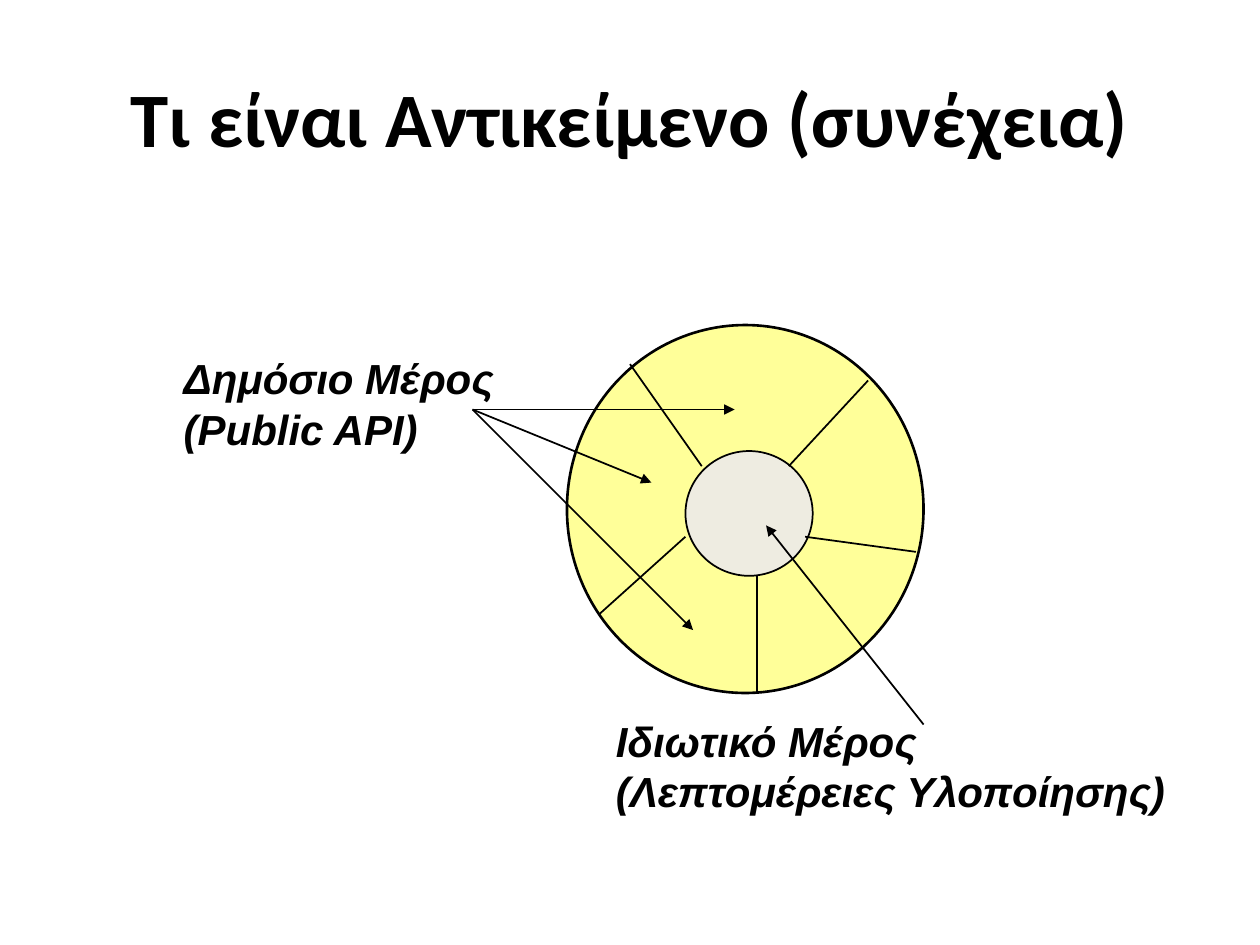
from lxml import etree
from pptx import Presentation, util as u
from pptx.dml.color import RGBColor
from pptx.enum import shapes, text
from pptx.oxml.ns import qn

THEME = {
    "ink": RGBColor.from_string("000000"),
    "public": RGBColor.from_string("FFFF99"),
    "private": RGBColor.from_string("EEECE1"),
    "title_font": "Calibri", "title_size": 44,
    "label_font": "Arial", "label_size": 24,
    "outline": 1.5, "line": 1,
}

TITLE = "Τι είναι Αντικείμενο (συνέχεια)"
RINGS = [
    ((4.5, 2.58, 2.83, 2.92), "public", "outline"),
    ((5.44, 3.58, 1.01, 0.99), "private", "line"),
]
DIVIDERS = [
    ((5, 2.89), (5.57, 3.7)),
    ((5.44, 4.26), (4.75, 4.88)),
    ((6.01, 4.57), (6.01, 5.5)),
    ((6.39, 4.26), (7.27, 4.38)),
    ((6.26, 3.7), (6.89, 3.02)),
]
LABELS = [
    ("Δημόσιο Μέρος\n(Public API)", (1.36, 2.75, 2.66, 0.9), False),
    ("Iδιωτικό Μέρος\n(Λεπτομέρειες Υλοποίησης)", (4.79, 5.63, 4.85, 0.9), True),
]
PUBLIC_START = (3.75, 3.25)
PUBLIC_TARGETS = [(5.17, 3.83), (5.83, 3.25), (5.5, 5)]
ARROWS = [(PUBLIC_START, target) for target in PUBLIC_TARGETS]
ARROWS.append(((7.33, 5.75), (6.08, 4.17)))


def inches(values):
    return [u.Inches(value) for value in values]


def style_text(frame, kind, italic=False):
    for paragraph in frame.paragraphs:
        for span in paragraph.runs:
            span.font.name = THEME[kind + "_font"]
            span.font.size = u.Pt(THEME[kind + "_size"])
            span.font.bold = True
            span.font.italic = italic
            span.font.color.rgb = THEME["ink"]


def style_line(shape, width):
    shape.line.color.rgb = THEME["ink"]
    shape.line.width = u.Pt(THEME[width])


def add_title(page):
    title = page.shapes.title
    title.left, title.top, title.width, title.height = inches((0.5, 0.3, 9, 1.25))
    title.text_frame.text = TITLE
    title.text_frame.vertical_anchor = text.MSO_ANCHOR.MIDDLE
    title.text_frame.paragraphs[0].alignment = text.PP_ALIGN.CENTER
    style_text(title.text_frame, "title")


def add_ring(parent, area, fill, width):
    ring = parent.add_shape(shapes.MSO_SHAPE.OVAL, *inches(area))
    ring.shadow.inherit = False
    ring.fill.solid()
    ring.fill.fore_color.rgb = THEME[fill]
    style_line(ring, width)


def add_line(parent, start, end, arrow=False):
    line = parent.add_connector(shapes.MSO_CONNECTOR.STRAIGHT, *inches(start + end))
    style_line(line, "line")
    properties = line.element.spPr
    etree.SubElement(properties, qn("a:effectLst"))
    if arrow:
        etree.SubElement(properties.find(qn("a:ln")), qn("a:tailEnd"), type="triangle")


def add_label(page, words, area, wrap):
    box = page.shapes.add_textbox(*inches(area))
    frame = box.text_frame
    frame.text = words
    frame.word_wrap = wrap
    frame.auto_size = text.MSO_AUTO_SIZE.SHAPE_TO_FIT_TEXT
    style_text(frame, "label", italic=True)


def main():
    deck = Presentation()
    deck.slide_width, deck.slide_height = inches((10, 7.5))
    page = deck.slides.add_slide(deck.slide_layouts.get_by_name("Title Only"))
    add_title(page)
    wheel = page.shapes.add_group_shape()
    for ring in RINGS:
        add_ring(wheel.shapes, *ring)
    for start, end in DIVIDERS:
        add_line(wheel.shapes, start, end)
    for label in LABELS:
        add_label(page, *label)
    for start, end in ARROWS:
        add_line(page.shapes, start, end, arrow=True)
    deck.save("out.pptx")


if __name__ == "__main__":
    main()
